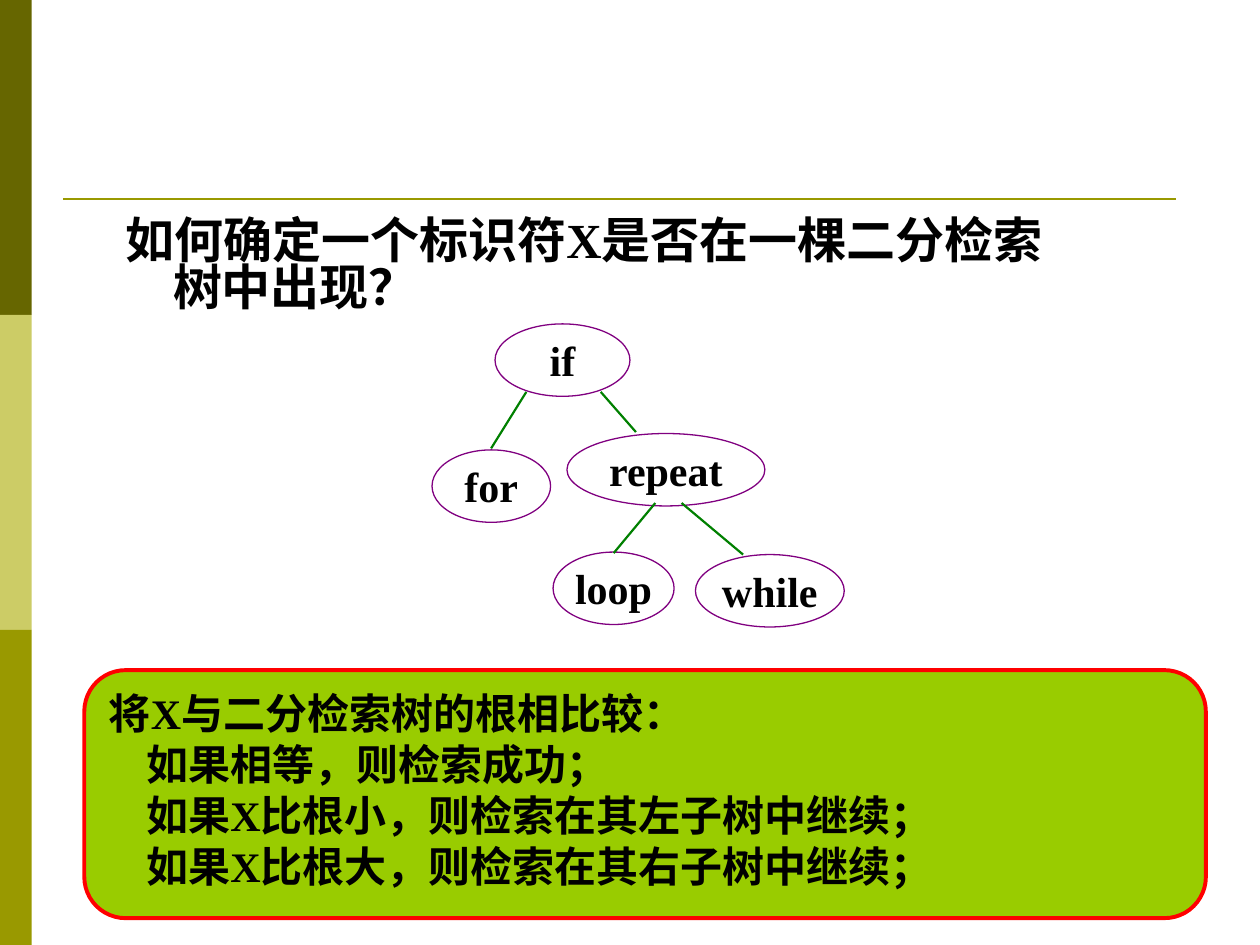
from lxml import etree
from pptx import Presentation
from pptx import util as u
from pptx.dml.color import RGBColor
from pptx.enum import shapes, text
from pptx.oxml.ns import qn

FONT = "Times New Roman"
BANDS = ["666600", "CCCC66", "999900"]
NODES = [
    ("repeat", 2.72, 2.21, 3.99),
    ("if", 1.27, 0, 2.72),
    ("loop", 2.44, 4.6, 2.44),
    ("for", 0, 2.54, 2.39),
    ("while", 5.31, 4.65, 3),
]
NODE_HEIGHT = 1.46
EDGES = [
    (1.9, 1.37, 1.19, 2.51),
    (3.4, 1.37, 4.11, 2.18),
    (5.03, 3.61, 6.27, 4.65),
    (4.5, 3.61, 3.66, 4.62),
]
QUESTION = "如何确定一个标识符X是否在一棵二分检索树中出现？"
RULE_HEADING = "将X与二分检索树的根相比较："
RULES = [
    "如果相等，则检索成功；",
    "如果X比根小，则检索在其左子树中继续；",
    "如果X比根大，则检索在其右子树中继续；",
]


def color(value):
    """Turn a hex string into a colour."""
    return RGBColor.from_string(value)


def add_box(parent, kind, box, fill=None, line=None, width=0.75):
    """Add a preset shape with an optional fill and outline."""
    shape = parent.add_shape(kind, *(u.Cm(value) for value in box))
    shape.shadow.inherit = False
    if fill:
        shape.fill.solid()
        shape.fill.fore_color.rgb = color(fill)
    else:
        shape.fill.background()
    if line:
        shape.line.color.rgb = color(line)
        shape.line.width = u.Pt(width)
    else:
        shape.line.fill.background()
    return shape


def add_line(parent, start_x, start_y, end_x, end_y, line, width):
    """Add a straight line without a shadow."""
    points = (u.Cm(value) for value in (start_x, start_y, end_x, end_y))
    connector = parent.add_connector(shapes.MSO_CONNECTOR.STRAIGHT, *points)
    connector.line.color.rgb = color(line)
    connector.line.width = u.Pt(width)
    etree.SubElement(connector._element.spPr, qn("a:effectLst"))


def set_paragraph(paragraph, wording, size, alignment=text.PP_ALIGN.LEFT):
    """Write bold black wording into a paragraph."""
    paragraph.text = wording
    paragraph.alignment = alignment
    paragraph.font.name = FONT
    paragraph.font.size = u.Pt(size)
    paragraph.font.bold = True
    paragraph.font.color.rgb = color("000000")


def set_spacing(paragraph, before, margin, indent):
    """Set tight line spacing, space before and a left indent."""
    paragraph.line_spacing = 0.8
    paragraph.space_before = u.Pt(before)
    properties = paragraph._p.get_or_add_pPr()
    properties.set("marL", str(u.Cm(margin)))
    properties.set("indent", str(u.Cm(indent)))


def add_frame(slide, left, top, width, height):
    """Draw the side bands and the rule that frame the slide."""
    band_height = height / len(BANDS)
    for index, fill in enumerate(BANDS):
        box = (left, top + index * band_height, 0.64, band_height)
        add_box(slide.shapes, shapes.MSO_SHAPE.RECTANGLE, box, fill)
    add_line(slide.shapes, left + 1.27, top + 4.01, left + width - 1.7, top + 4.01, "999900", 1.5)


def add_question(slide, left, top, width, height):
    """Place the question with a hanging indent."""
    textbox = slide.shapes.add_textbox(*(u.Cm(value) for value in (left, top, width, height)))
    textbox.text_frame.word_wrap = True
    paragraph = textbox.text_frame.paragraphs[0]
    set_paragraph(paragraph, QUESTION, 28)
    set_spacing(paragraph, 17.5, 0.95, -0.95)


def add_tree(slide, left, top):
    """Draw the binary search tree as one group."""
    group = slide.shapes.add_group_shape()
    for label, x, y, width in NODES:
        box = (left + x, top + y, width, NODE_HEIGHT)
        node = add_box(group.shapes, shapes.MSO_SHAPE.OVAL, box, line="800080")
        frame = node.text_frame
        frame.margin_left = frame.margin_right = frame.margin_top = frame.margin_bottom = 0
        frame.vertical_anchor = text.MSO_ANCHOR.TOP
        set_paragraph(frame.paragraphs[0], label, 24, text.PP_ALIGN.CENTER)
    for start_x, start_y, end_x, end_y in EDGES:
        add_line(group.shapes, left + start_x, top + start_y, left + end_x, top + end_y, "008000", 1.25)


def add_rules(slide, left, top, width, height):
    """Place the search rules in a rounded panel."""
    box = (left, top, width, height)
    panel = add_box(slide.shapes, shapes.MSO_SHAPE.ROUNDED_RECTANGLE, box, "99CC00", "FF0000", 2.25)
    frame = panel.text_frame
    frame.vertical_anchor = text.MSO_ANCHOR.MIDDLE
    heading = frame.paragraphs[0]
    set_paragraph(heading, RULE_HEADING, 24)
    set_spacing(heading, 6, 0.95, -0.95)
    for rule in RULES:
        paragraph = frame.add_paragraph()
        set_paragraph(paragraph, rule, 24)
        set_spacing(paragraph, 6, 0.76, 0)


def main():
    """Build and save the slide."""
    presentation = Presentation()
    presentation.slide_width = u.Cm(25.4)
    presentation.slide_height = u.Cm(19.05)
    slide = presentation.slides.add_slide(presentation.slide_layouts[6])
    add_frame(slide, 0, 0, 25.4, 19.05)
    add_tree(slide, 8.71, 6.53)
    add_question(slide, 2.29, 4.32, 19.81, 2.16)
    add_rules(slide, 1.7, 13.51, 22.61, 5)
    presentation.save("out.pptx")


if __name__ == "__main__":
    main()
